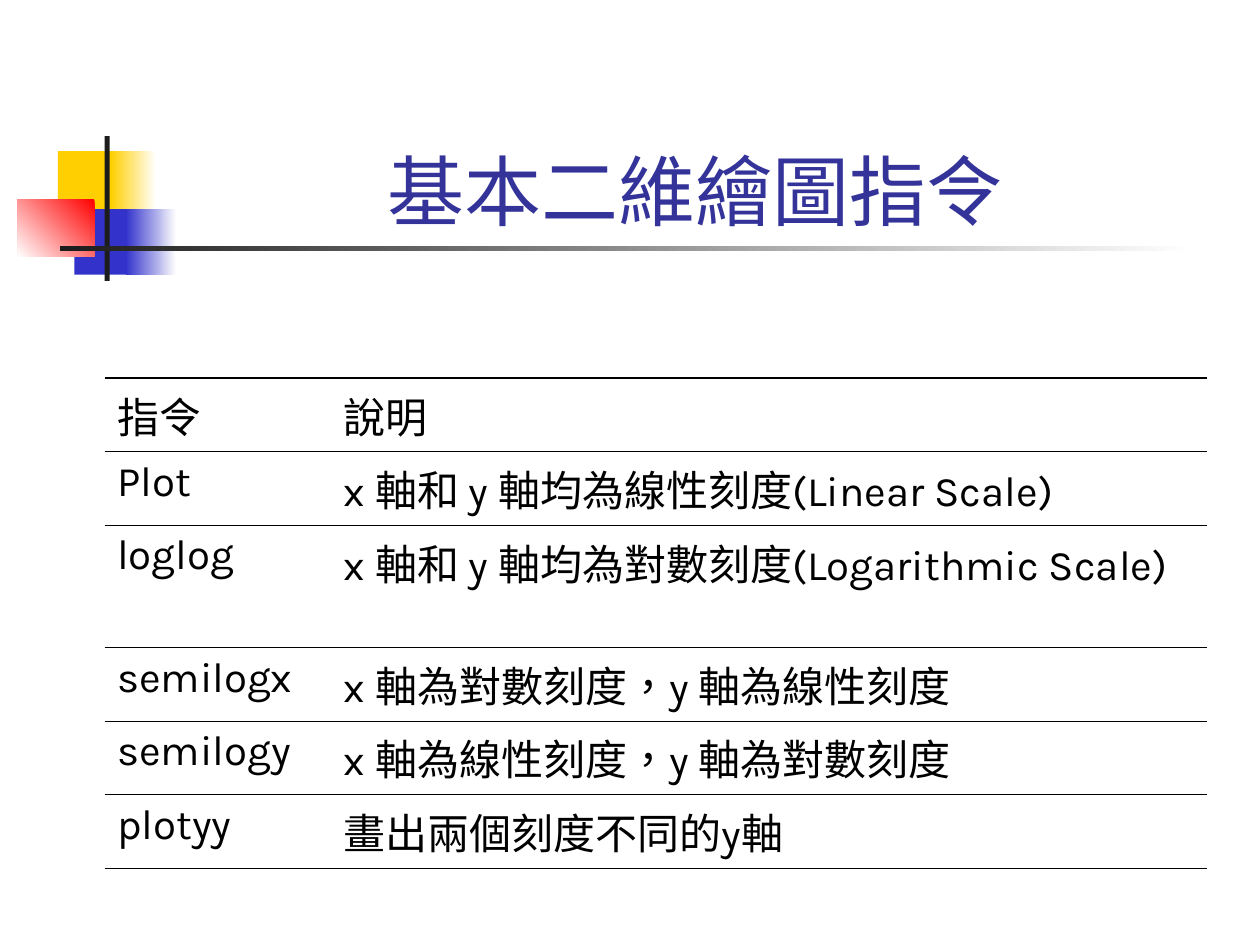
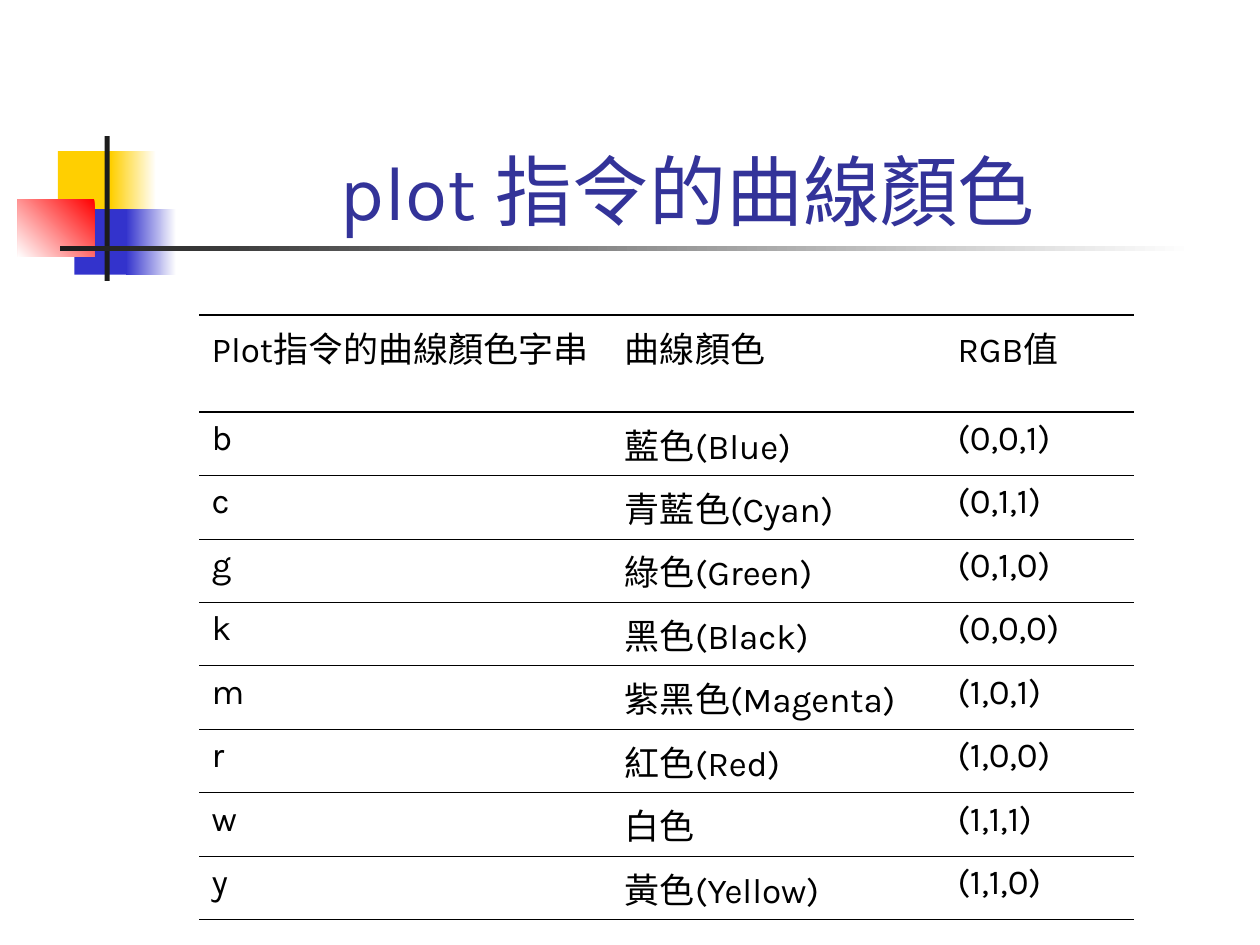
from lxml import etree
from pptx import Presentation
from pptx.dml.color import RGBColor
from pptx.enum.shapes import MSO_SHAPE
from pptx.enum.text import MSO_ANCHOR, PP_ALIGN
from pptx.oxml.ns import qn
from pptx.util import Inches, Pt

RECT = MSO_SHAPE.RECTANGLE
BOTTOM, CENTER = MSO_ANCHOR.BOTTOM, PP_ALIGN.CENTER

WHITE, BLACK, YELLOW, BLUE = "FFFFFF", "000000", "FFCF01", "3333CC"
RED, DARK, TITLE_COLOR = "FF0000", "1C1C1C", "333399"
BODY_FONT, LANGUAGE = "Karla", "zh-TW"
THICK, THIN = 1.08, 0.45

TITLE_BOX = (1.26, 0.67, 8.52, 1.25)
# box, fill colours (one is solid, two make a gradient), gradient angle
DECORATION = [
    ((0.46, 1.2, 0.48, 0.52), (YELLOW,), None),
    ((0.88, 1.2, 0.36, 0.52), (WHITE, YELLOW), 180),
    ((0.59, 1.66, 0.46, 0.52), (BLUE,), None),
    ((1, 1.66, 0.4, 0.52), (WHITE, BLUE), 180),
    ((0.14, 1.58, 0.61, 0.46), (RED, WHITE), 225),
    ((0.83, 1.08, 0.04, 1.15), (DARK,), None),
    ((0.48, 1.95, 9, 0.04), (WHITE, DARK), 180),
]

LINE_ROW = 2.92 / 5  # five one-line rows of the command table
COLOR_ROW = 4.03 / 8  # eight rows of the colour table

SLIDES = [
    {
        "title": "基本二維繪圖指令",
        "title_font": "Times New Roman",
        "at": (0.83, 3),
        "size": 24,
        "header_rule": THIN,
        "cols": [1.8, 6.95],
        "heights": [LINE_ROW] * 2 + [0.97] + [LINE_ROW] * 3,
        "rows": [
            ("指令", "說明"),
            ("Plot", "x 軸和 y 軸均為線性刻度(Linear Scale)"),
            ("loglog", "x 軸和 y 軸均為對數刻度(Logarithmic Scale)"),
            ("semilogx", "x 軸為對數刻度，y 軸為線性刻度"),
            ("semilogy", "x 軸為線性刻度，y 軸為對數刻度"),
            ("plotyy", "畫出兩個刻度不同的y軸"),
        ],
    },
    {
        "title": "plot 指令的曲線顏色 ",
        "title_font": BODY_FONT,
        "at": (1.58, 2.5),
        "size": 20,
        "header_rule": THICK,
        "cols": [3.28, 2.64, 1.5],
        "heights": [0.77] + [COLOR_ROW] * 8,
        "rows": [
            ("Plot指令的曲線顏色字串", "曲線顏色", "RGB值"),
            ("b", "藍色(Blue)", "(0,0,1)"),
            ("c", "青藍色(Cyan)", "(0,1,1)"),
            ("g", "綠色(Green)", "(0,1,0)"),
            ("k", "黑色(Black)", "(0,0,0)"),
            ("m", "紫黑色(Magenta)", "(1,0,1)"),
            ("r", "紅色(Red)", "(1,0,0)"),
            ("w", "白色", "(1,1,1)"),
            ("y", "黃色(Yellow)", "(1,1,0)"),
        ],
    },
]


def rgb(color):
    return RGBColor.from_string(color)


def inches(lengths):
    return [Inches(v) for v in lengths]


def write(p, text, font, size, color):
    r = p.add_run()
    r.text = text
    for name, value in {"name": font, "size": Pt(size)}.items():
        setattr(r.font, name, value)
    r.font.color.rgb = rgb(color)
    r._r.get_or_add_rPr().set("lang", LANGUAGE)


def add_decoration(s):
    for box, colors, angle in DECORATION:
        sp = s.shapes.add_shape(RECT, *inches(box))
        sp.shadow.inherit = False
        sp.line.fill.background()
        if angle is None:
            sp.fill.solid()
            sp.fill.fore_color.rgb = rgb(colors[0])
            continue
        sp.fill.gradient()
        sp.fill.gradient_angle = angle
        for position, (stop, color) in enumerate(zip(sp.fill.gradient_stops, colors)):
            stop.position = position
            stop.color.rgb = rgb(color)


def add_title(s, text, font):
    tf = s.shapes.add_textbox(*inches(TITLE_BOX)).text_frame
    tf.word_wrap = True
    tf.vertical_anchor = BOTTOM
    p = tf.paragraphs[0]
    p.alignment = CENTER
    write(p, text, font, 44, TITLE_COLOR)


def set_borders(cell, top, bottom):
    """Rule the top and bottom edges in points; leave the sides open."""
    tc_pr = cell._tc.get_or_add_tcPr()
    for tag, width in (("a:lnL", 0), ("a:lnR", 0), ("a:lnT", top), ("a:lnB", bottom)):
        ln = etree.SubElement(tc_pr, qn(tag), w=str(Pt(width)))
        if width:
            fill = etree.SubElement(ln, qn("a:solidFill"))
            etree.SubElement(fill, qn("a:srgbClr"), val=BLACK)
        else:
            etree.SubElement(ln, qn("a:noFill"))


def add_ruled_table(s, at, cols, heights, rows, size, header_rule):
    box = inches((*at, sum(cols), sum(heights)))
    table = s.shapes.add_table(len(rows), len(cols), *box).table
    table.first_row = table.horz_banding = False
    for column, width in zip(table.columns, cols):
        column.width = Inches(width)
    rules = [THICK, header_rule] + [THIN] * (len(rows) - 1)
    for i, (row, height) in enumerate(zip(table.rows, heights)):
        row.height = Inches(height)
        for cell, text in zip(row.cells, rows[i]):
            set_borders(cell, rules[i], rules[i + 1])
            cell.fill.background()
            write(cell.text_frame.paragraphs[0], text, BODY_FONT, size, BLACK)


def main():
    prs = Presentation()
    prs.slide_width, prs.slide_height = Inches(10), Inches(7.5)
    for page in SLIDES:
        s = prs.slides.add_slide(prs.slide_layouts[6])
        add_decoration(s)
        add_title(s, page["title"], page["title_font"])
        add_ruled_table(s, page["at"], page["cols"], page["heights"],
                        page["rows"], page["size"], page["header_rule"])
    prs.save("out.pptx")


if __name__ == "__main__":
    main()
